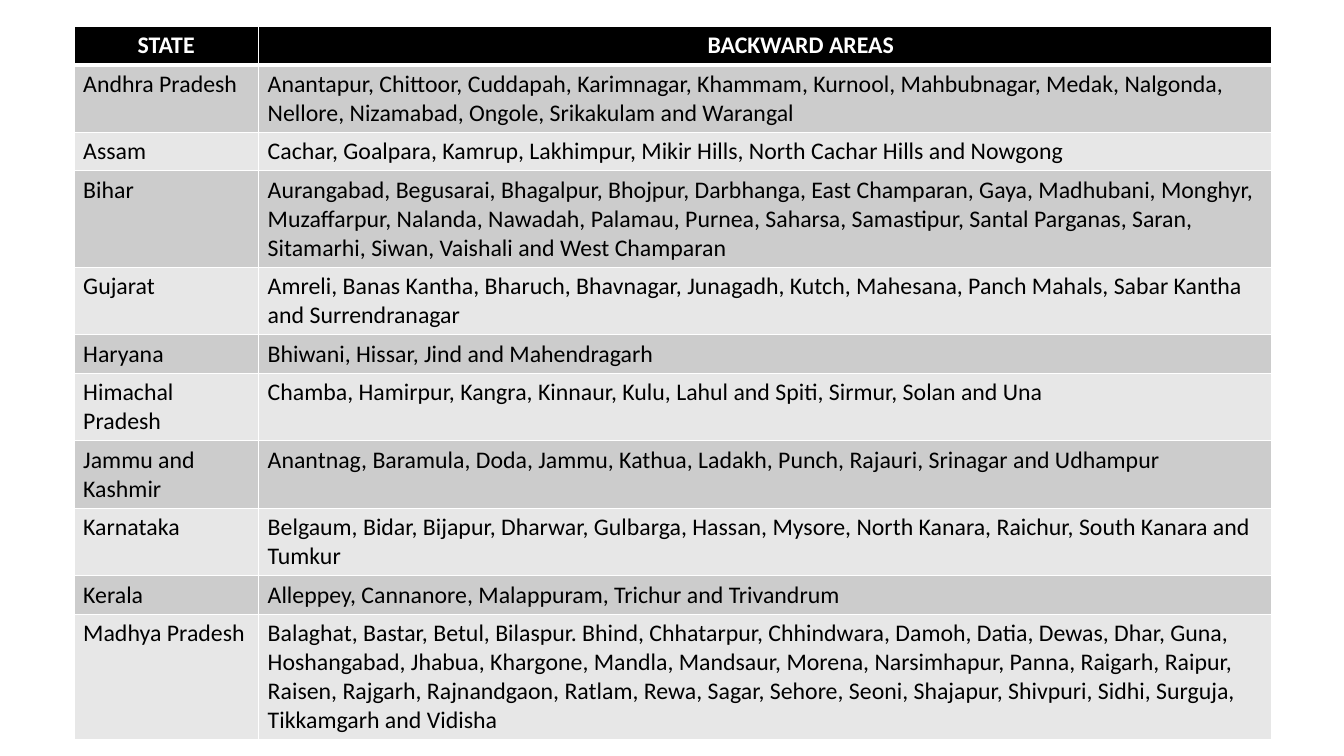
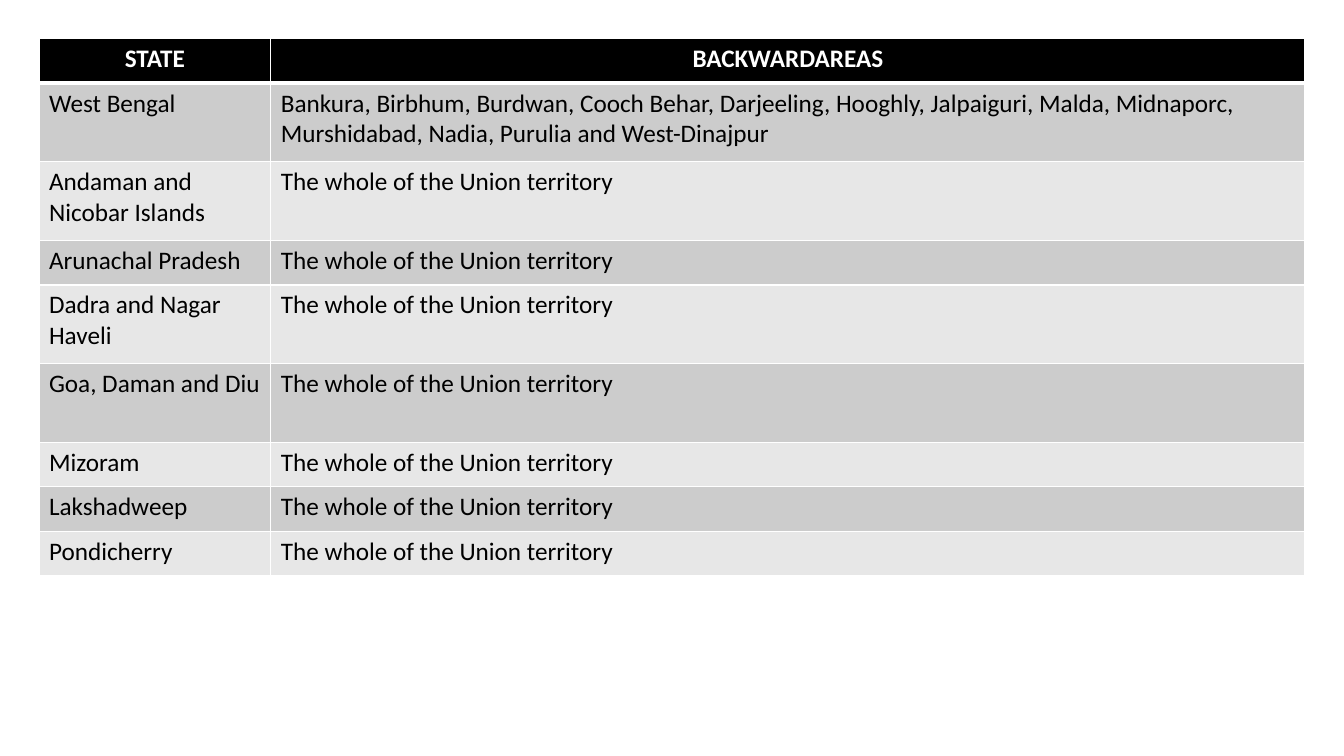
from dataclasses import dataclass
from typing import NamedTuple

from lxml.etree import SubElement
from pptx import Presentation
from pptx.dml.color import RGBColor as Rgb
from pptx.enum.text import MSO_ANCHOR as Anchor, PP_ALIGN as Align
from pptx.oxml.ns import qn
from pptx.slide import Slide
from pptx.util import Inches, Pt

SLIDE_WIDTH, SLIDE_HEIGHT = Inches(13.33), Inches(7.5)


@dataclass(frozen=True)
class Theme:
    font: str = "Calibri"
    header_fill: str = "000000"
    header_text: str = "FFFFFF"
    body_text: str = "000000"
    bands: tuple[str, str] = ("CCCCCC", "E7E7E7")
    rule: str = "FFFFFF"
    thin: float = 1
    thick: float = 3


THEME = Theme()


class Region(NamedTuple):
    state: str
    areas: str
    lines: int = 1


@dataclass(frozen=True)
class RegionTable:
    """Positions, widths and heights are percentages of the slide; type is in points."""
    heading: str
    regions: list[Region]
    left: float
    top: float
    columns: tuple[float, float]
    line: float
    padding: float
    size: float
    inset: float
    heading_indent: float = 0


WHOLE = "The whole of the Union territory"

STATES = RegionTable(
    heading="BACKWARD AREAS",
    left=5.5, top=3.5, columns=(13.73, 75.4), line=3.6, padding=1.2,
    size=17, inset=6.68, heading_indent=51,
    regions=[
        Region("Andhra Pradesh", "Anantapur, Chittoor, Cuddapah, Karimnagar, Khammam, Kurnool, "
               "Mahbubnagar, Medak, Nalgonda, Nellore, Nizamabad, Ongole, Srikakulam and Warangal", 2),
        Region("Assam", "Cachar, Goalpara, Kamrup, Lakhimpur, Mikir Hills, North Cachar Hills "
               "and Nowgong"),
        Region("Bihar", "Aurangabad, Begusarai, Bhagalpur, Bhojpur, Darbhanga, East Champaran, "
               "Gaya, Madhubani, Monghyr, Muzaffarpur, Nalanda, Nawadah, Palamau, Purnea, Saharsa, "
               "Samastipur, Santal Parganas, Saran, Sitamarhi, Siwan, Vaishali and West Champaran", 3),
        Region("Gujarat", "Amreli, Banas Kantha, Bharuch, Bhavnagar, Junagadh, Kutch, Mahesana, "
               "Panch Mahals, Sabar Kantha and Surrendranagar", 2),
        Region("Haryana", "Bhiwani, Hissar, Jind and Mahendragarh"),
        Region("Himachal Pradesh", "Chamba, Hamirpur, Kangra, Kinnaur, Kulu, Lahul and Spiti, "
               "Sirmur, Solan and Una", 2),
        Region("Jammu and Kashmir", "Anantnag, Baramula, Doda, Jammu, Kathua, Ladakh, Punch, "
               "Rajauri, Srinagar and Udhampur", 2),
        Region("Karnataka", "Belgaum, Bidar, Bijapur, Dharwar, Gulbarga, Hassan, Mysore, "
               "North Kanara, Raichur, South Kanara and Tumkur", 2),
        Region("Kerala", "Alleppey, Cannanore, Malappuram, Trichur and Trivandrum"),
        Region("Madhya Pradesh", "Balaghat, Bastar, Betul, Bilaspur. Bhind, Chhatarpur, "
               "Chhindwara, Damoh, Datia, Dewas, Dhar, Guna, Hoshangabad, Jhabua, Khargone, Mandla, "
               "Mandsaur, Morena, Narsimhapur, Panna, Raigarh, Raipur, Raisen, Rajgarh, Rajnandgaon, "
               "Ratlam, Rewa, Sagar, Sehore, Seoni, Shajapur, Shivpuri, Sidhi, Surguja, "
               "Tikkamgarh and Vidisha", 4),
    ],
)

TERRITORIES = RegionTable(
    heading="BACKWARDAREAS",
    left=2.9, top=5.1, columns=(17.25, 76.95), line=4.5, padding=1.4,
    size=18, inset=7.2,
    regions=[
        Region("West Bengal", "Bankura, Birbhum, Burdwan, Cooch Behar, Darjeeling, Hooghly, "
               "Jalpaiguri, Malda, Midnaporc, Murshidabad, Nadia, Purulia and West-Dinajpur", 2),
        Region("Andaman and Nicobar Islands", WHOLE, 2),
        Region("Arunachal Pradesh", WHOLE),
        Region("Dadra and Nagar Haveli", WHOLE, 2),
        Region("Goa, Daman and Diu", WHOLE, 2),
        Region("Mizoram", WHOLE),
        Region("Lakshadweep", WHOLE),
        Region("Pondicherry", WHOLE),
    ],
)


def across(percent: float) -> int:
    return round(SLIDE_WIDTH * percent / 100)


def down(percent: float) -> int:
    return round(SLIDE_HEIGHT * percent / 100)


def set_borders(cell, row: int) -> None:
    """Rule every side thinly, with a thick rule between header and body."""
    widths = {
        "L": THEME.thin,
        "R": THEME.thin,
        "T": THEME.thick if row == 1 else THEME.thin,
        "B": THEME.thick if row == 0 else THEME.thin,
    }
    properties = cell._tc.get_or_add_tcPr()
    for side, width in widths.items():
        edge = SubElement(properties, qn(f"a:ln{side}"), w=str(Pt(width)))
        SubElement(SubElement(edge, qn("a:solidFill")), qn("a:srgbClr"), val=THEME.rule)


def fill_cell(cell, text: str, row: int, content: RegionTable) -> None:
    is_header = row == 0
    margins = {
        "margin_left": Pt(content.inset),
        "margin_right": Pt(content.inset),
        "margin_top": Pt(content.inset / 2),
        "margin_bottom": Pt(content.inset / 2),
        "vertical_anchor": Anchor.TOP,
    }
    for attribute, value in margins.items():
        setattr(cell, attribute, value)
    set_borders(cell, row)
    cell.fill.solid()
    band = THEME.header_fill if is_header else THEME.bands[(row - 1) % 2]
    cell.fill.fore_color.rgb = Rgb.from_string(band)

    cell.text = text
    paragraph = cell.text_frame.paragraphs[0]
    paragraph.alignment = Align.CENTER if is_header else Align.LEFT
    font = paragraph.runs[0].font
    for attribute, value in {"name": THEME.font, "size": Pt(content.size), "bold": is_header}.items():
        setattr(font, attribute, value)
    font.color.rgb = Rgb.from_string(THEME.header_text if is_header else THEME.body_text)


def draw_regions(slide: Slide, content: RegionTable) -> None:
    entries = [Region("STATE", content.heading), *content.regions]
    heights = [down(content.padding + content.line * entry.lines) for entry in entries]
    widths = [across(share) for share in content.columns]
    table = slide.shapes.add_table(
        len(entries), len(widths), across(content.left), down(content.top), sum(widths), sum(heights)
    ).table
    table.horz_banding = False
    for column, width in zip(table.columns, widths):
        column.width = width
    for row, (entry, height) in enumerate(zip(entries, heights)):
        table.rows[row].height = height
        for column, text in enumerate((entry.state, entry.areas)):
            fill_cell(table.cell(row, column), text, row, content)
    table.cell(0, 1).margin_left = Pt(content.inset + content.heading_indent)


def main() -> None:
    deck = Presentation()
    deck.slide_width, deck.slide_height = SLIDE_WIDTH, SLIDE_HEIGHT
    blank = deck.slide_layouts[6]
    for content in (STATES, TERRITORIES):
        draw_regions(deck.slides.add_slide(blank), content)
    deck.save("out.pptx")


if __name__ == "__main__":
    main()
